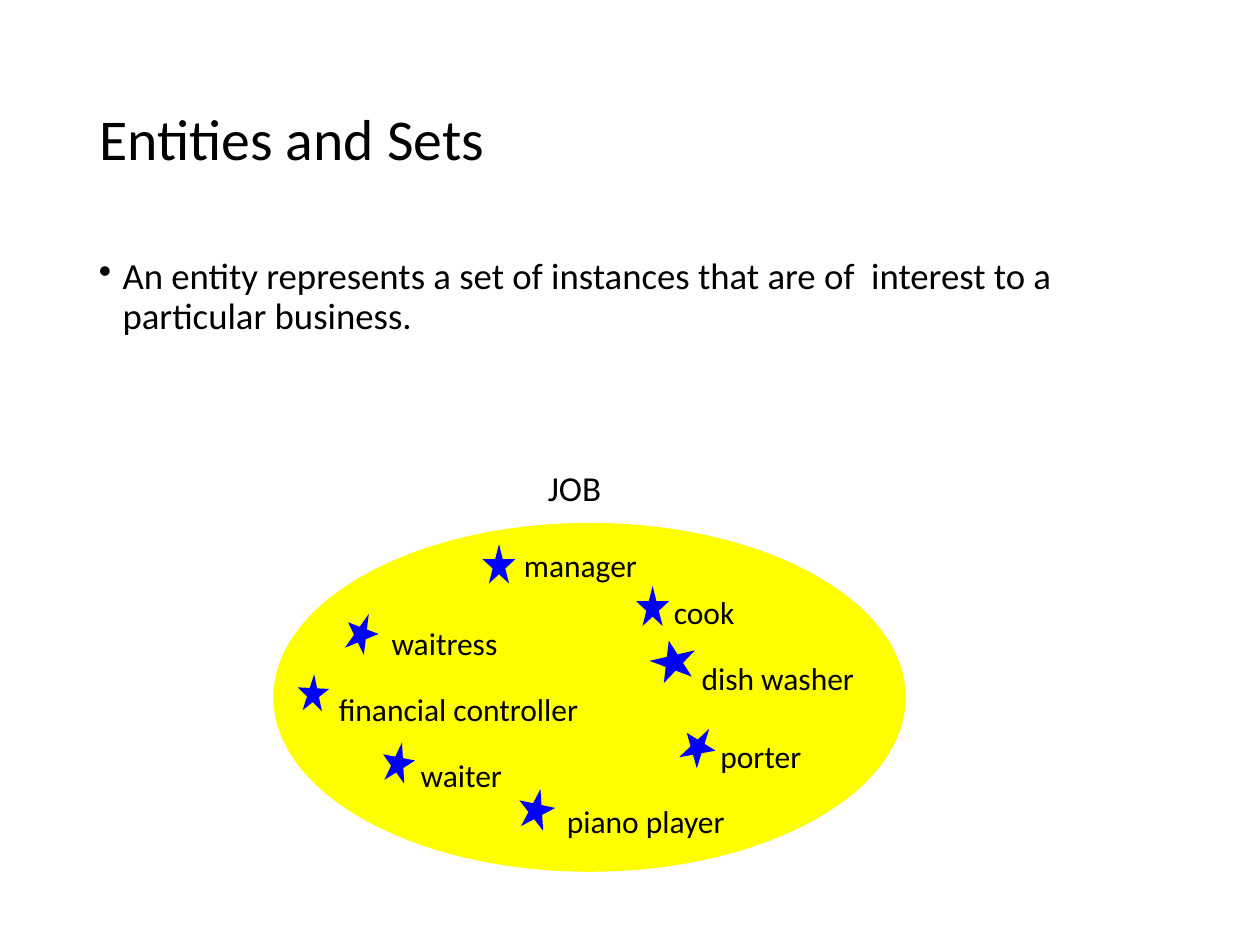
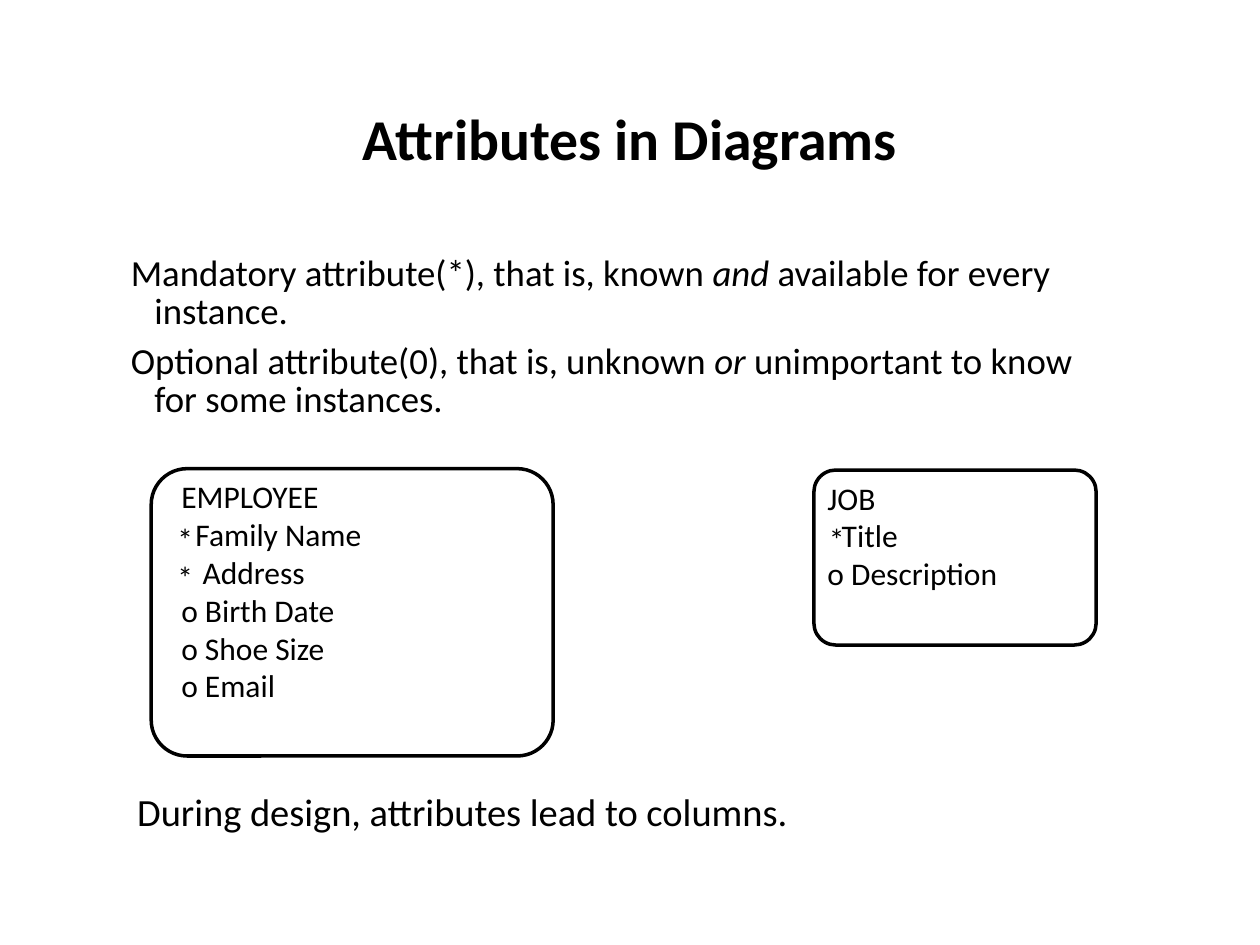
"""Build two slides on entities, their instances and their attributes."""
import itertools
from dataclasses import dataclass

import lxml.etree
import pptx
import pptx.dml.color
import pptx.enum.shapes
import pptx.enum.text
import pptx.oxml.ns
import pptx.util

Pt = pptx.util.Pt
Align = pptx.enum.text.PP_ALIGN
Preset = pptx.enum.shapes.MSO_SHAPE
COLOURS = {"text": "000000", "set": "FFFF00", "instance": "0000FF", "page": "FFFFFF"}
FONT = "Calibri"
TITLE_ONLY = 5
HANG = 13.5
LABEL_HEIGHT = 29


@dataclass(frozen=True)
class Box:
    """Place and size in points."""
    left: float
    top: float
    width: float
    height: float

    def lengths(self) -> tuple:
        """Give the four lengths in the order python-pptx takes them."""
        return Pt(self.left), Pt(self.top), Pt(self.width), Pt(self.height)


@dataclass(frozen=True)
class Instance:
    """One member of a set: its star and the place of its name."""
    name: str
    star: Box
    turn: float
    left: float
    top: float
    width: float


@dataclass(frozen=True)
class Entity:
    """A rounded entity frame with its attributes and mandatory marks."""
    frame: Box
    content: Box
    attributes: str
    margins: tuple
    marks: str
    marks_box: Box


TITLE = Box(49.5, 28.8, 621, 104.4)
JOBS = (
    Instance("manager", Box(275.8, 311, 18.7, 22.5), 0, 292.3, 308.2, 126.7),
    Instance("cook", Box(363.6, 334.8, 18.7, 23), 0, 378, 335.5, 67),
    Instance("waitress", Box(197.3, 350, 18.7, 23), 21, 216.7, 352.8, 126.7),
    Instance("dish washer", Box(371.5, 365.8, 26.6, 23), -13, 393.8, 373, 176.4),
    Instance("financial controller", Box(170, 385.2, 18, 21), 3, 186.5, 391, 229),
    Instance("porter", Box(389.5, 414.7, 19.4, 23), 32, 404.6, 417.6, 89.3),
    Instance("waiter", Box(218.2, 424, 18.7, 23), 11, 233.3, 428.4, 126),
    Instance("piano player", Box(296, 450.7, 20.9, 23), 12, 316.8, 455, 140.4),
)
ENTITIES = (
    Entity(
        Box(86.4, 267.8, 229.7, 164.2), Box(96.5, 269.3, 178.6, 136.8),
        "EMPLOYEE\nFamily Name\nAddress\no Birth Date\no Shoe Size\no Email",
        (0, 8.14, 12.2, 0, 0, 0), "*\n*", Box(94.3, 293.8, 22.3, 50.4),
    ),
    Entity(
        Box(465.1, 268.6, 161.3, 100), Box(465.8, 270, 149, 72),
        "JOB\nTitle\no Description",
        (0, 8.14, 0), "*", Box(466.6, 293.8, 22.3, LABEL_HEIGHT),
    ),
)


def colour(name: str) -> pptx.dml.color.RGBColor:
    """Look up a colour by its role."""
    return pptx.dml.color.RGBColor.from_string(COLOURS[name])


def write(frame, text: str, *, size: float = 18, bold: bool = False, align=Align.LEFT,
          spacing: float = 1.0, before: float = 0, margins: tuple = (0,),
          hang: float = 0, bullet: str = "") -> None:
    """Fill a frame, one paragraph per line, with _italic_ marked by underscores."""
    frame.word_wrap = True
    frame.auto_size = pptx.enum.text.MSO_AUTO_SIZE.NONE
    for index, (line, margin) in enumerate(zip(text.split("\n"), itertools.cycle(margins))):
        paragraph = frame.add_paragraph() if index else frame.paragraphs[0]
        paragraph.alignment = align
        paragraph.line_spacing = spacing
        paragraph.space_before = Pt(before)
        properties = paragraph._p.get_or_add_pPr()
        properties.set("marL", str(int(Pt(margin + hang))))
        properties.set("indent", str(int(Pt(-hang))))
        if bullet:
            mark = lxml.etree.SubElement(properties, pptx.oxml.ns.qn("a:buChar"))
            mark.set("char", bullet)
        for position, part in enumerate(line.split("_")):
            run = paragraph.add_run()
            run.text = part
            run.font.name = FONT
            run.font.size = Pt(size)
            run.font.bold = bold
            run.font.italic = position % 2 == 1
            run.font.color.rgb = colour("text")


def add_text(shapes, box: Box, text: str, **style) -> None:
    """Place a text box."""
    write(shapes.add_textbox(*box.lengths()).text_frame, text, **style)


def add_figure(shapes, preset, box: Box, *, fill: str = "", outline: str = "", turn: float = 0):
    """Place a flat preset shape."""
    figure = shapes.add_shape(preset, *box.lengths())
    figure.shadow.inherit = False
    figure.rotation = turn
    if fill:
        figure.fill.solid()
        figure.fill.fore_color.rgb = colour(fill)
    else:
        figure.fill.background()
    if outline:
        figure.line.color.rgb = colour(outline)
        figure.line.width = Pt(2)
    else:
        figure.line.fill.background()
    return figure


def add_slide(deck, title: str, **style):
    """Add a titled slide."""
    slide = deck.slides.add_slide(deck.slide_layouts[TITLE_ONLY])
    slide.background.fill.solid()
    slide.background.fill.fore_color.rgb = colour("page")
    heading = slide.shapes.title
    heading.left, heading.top, heading.width, heading.height = TITLE.lengths()
    heading.text_frame.vertical_anchor = pptx.enum.text.MSO_ANCHOR.MIDDLE
    write(heading.text_frame, title, size=33, spacing=0.9, **style)
    return slide


def add_instance(shapes, instance: Instance) -> None:
    """Draw a star and its name."""
    add_figure(shapes, Preset.STAR_5_POINT, instance.star, fill="instance", turn=instance.turn)
    label = Box(instance.left, instance.top, instance.width, LABEL_HEIGHT)
    add_text(shapes, label, instance.name)


def add_entity(shapes, entity: Entity) -> None:
    """Draw an entity frame with its attributes."""
    frame = add_figure(shapes, Preset.ROUNDED_RECTANGLE, entity.frame, outline="text")
    frame.adjustments[0] = 0.125
    add_text(shapes, entity.content, entity.attributes, margins=entity.margins)
    add_text(shapes, entity.marks_box, entity.marks)


def build_sets(deck) -> None:
    """Build the slide on entities and sets."""
    shapes = add_slide(deck, "Entities and Sets").shapes
    add_text(
        shapes, Box(49.5, 144, 621, 342.7),
        "An entity represents a set of instances that are of  interest to a particular business.",
        size=21, spacing=0.9, before=7.5, hang=HANG, bullet="•",
    )
    add_text(shapes, Box(306, 262.8, 83.5, 31), "JOB", size=20)
    job_set = shapes.add_group_shape().shapes
    add_figure(job_set, Preset.OVAL, Box(156.2, 298.8, 361.4, 199.4), fill="set")
    for instance in JOBS:
        add_instance(job_set, instance)


def build_attributes(deck) -> None:
    """Build the slide on attributes."""
    shapes = add_slide(deck, "Attributes in Diagrams", bold=True, align=Align.CENTER).shapes
    add_text(
        shapes, Box(67.7, 143.3, 580.3, 111.6),
        "Mandatory attribute(*), that is, known _and_ available for every instance.\n"
        "Optional attribute(0), that is, unknown _or_ unimportant to know for some instances.",
        size=21, spacing=0.85, before=7.35, hang=HANG,
    )
    for entity in ENTITIES:
        add_entity(shapes, entity)
    add_text(shapes, Box(71.3, 448.6, 550.8, 32.4),
             "During design, attributes lead to columns.", size=22, spacing=0.95)


def main() -> None:
    """Build and save the deck."""
    deck = pptx.Presentation()
    deck.slide_width, deck.slide_height = Pt(720), Pt(540)
    build_sets(deck)
    build_attributes(deck)
    deck.save("out.pptx")


main()
